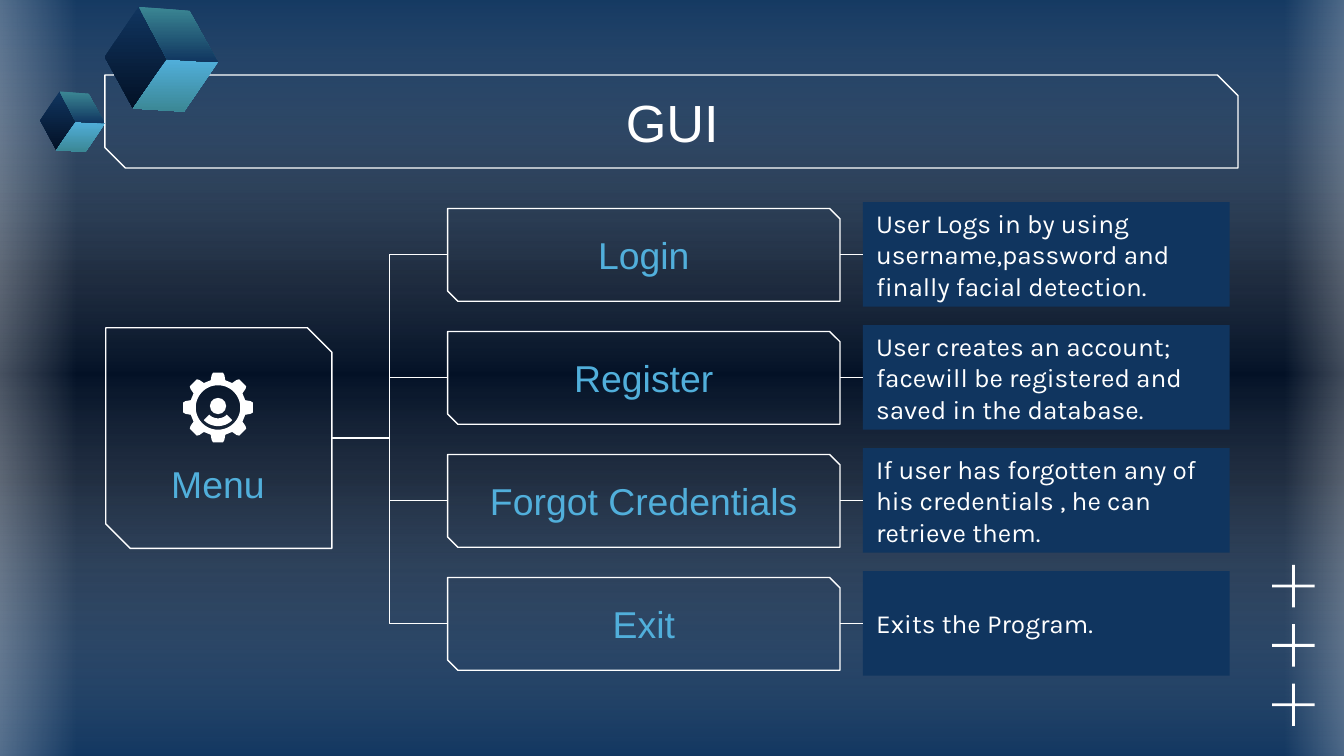
from collections import namedtuple
from math import cos, radians, sin

from lxml.etree import SubElement
from pptx import Presentation
from pptx.dml.color import RGBColor
from pptx.enum.shapes import MSO_CONNECTOR, MSO_SHAPE
from pptx.enum.text import MSO_ANCHOR, PP_ALIGN
from pptx.oxml.ns import qn
from pptx.util import Pt

WHITE = RGBColor(0xFF, 0xFF, 0xFF)
NAVY = RGBColor(0x10, 0x35, 0x5F)
NIGHT = RGBColor(0x03, 0x11, 0x26)
SKY = RGBColor(0x51, 0xAF, 0xDB)
TEAL = RGBColor(0x3B, 0x87, 0x94)

Box = namedtuple("Box", "x y w h")
FRAME = {
    "word_wrap": True, "vertical_anchor": MSO_ANCHOR.MIDDLE,
    "margin_left": Pt(7.2), "margin_right": Pt(7.2),
    "margin_top": Pt(7.2), "margin_bottom": Pt(7.2),
}
HEAD = {"name": "Arial", "size": Pt(28)}
LABEL = {"name": "Arial", "size": Pt(20)}
NOTE = {"name": "Karla", "size": Pt(14)}
ROWS = [
    ("Login", "User Logs in by using username,password and finally facial detection."),
    ("Register", "User creates an account; facewill be registered and saved in the database."),
    ("Forgot Credentials", "If user has forgotten any of his credentials , he can retrieve them."),
    ("Exit", "Exits the Program."),
]


def blend(props, stops, angle):
    """Swap the solid fill in props for a gradient of (percent, colour, alpha) stops."""
    solid = props.find(qn("a:solidFill"))
    grad = props.makeelement(qn("a:gradFill"), {"rotWithShape": "1"})
    row = SubElement(grad, qn("a:gsLst"))
    for place, color, alpha in stops:
        stop = SubElement(row, qn("a:gs"), pos=str(place * 1000))
        tint = SubElement(stop, qn("a:srgbClr"), val=str(color))
        if alpha < 100:
            SubElement(tint, qn("a:alpha"), val=str(alpha * 1000))
    SubElement(grad, qn("a:lin"), ang=str(angle * 60000), scaled="0")
    props.replace(solid, grad)


def paint(shape, color):
    shape.shadow.inherit = False
    shape.fill.solid()
    shape.fill.fore_color.rgb = color
    shape.line.fill.background()
    return shape


def block(slide, kind, box, color=WHITE):
    return paint(slide.shapes.add_shape(kind, *map(Pt, box)), color)


def outline(slide, points, color=WHITE, hole=()):
    """Draw a filled polygon, with an optional hole in it."""
    first, *rest = [(Pt(x), Pt(y)) for x, y in points]
    form = slide.shapes.build_freeform(*first)
    form.add_line_segments(rest)
    if hole:
        first, *rest = [(Pt(x), Pt(y)) for x, y in hole]
        form.move_to(*first)
        form.add_line_segments(rest)
    return paint(form.convert_to_shape(), color)


def write(shape, text, style, color, align=PP_ALIGN.CENTER):
    frame = shape.text_frame
    for key, value in FRAME.items():
        setattr(frame, key, value)
    para = frame.paragraphs[0]
    para.alignment = align
    run = para.add_run()
    run.text = text
    for key, value in style.items():
        setattr(run.font, key, value)
    run.font.color.rgb = color


def caption(slide, box, text, style, color):
    shape = slide.shapes.add_textbox(*map(Pt, box))
    write(shape, text, style, color)
    return shape


def snip(slide, box, cut):
    shape = block(slide, MSO_SHAPE.SNIP_2_DIAG_RECTANGLE, box)
    shape.adjustments[0], shape.adjustments[1] = 0, cut
    shape.fill.background()
    shape.line.color.rgb = WHITE
    shape.line.width = Pt(0.75)


def link(slide, kind, start, end):
    line = slide.shapes.add_connector(kind, *map(Pt, start + end))
    line.line.color.rgb = WHITE
    line.line.width = Pt(0.75)
    SubElement(line._element.spPr, qn("a:effectLst"))
    return line


def backdrop(slide, box):
    slide.background.fill.solid()
    base = [(0, NAVY, 100), (37, NIGHT, 100), (63, NIGHT, 100), (100, NAVY, 100)]
    blend(slide._element.cSld.bg.bgPr, base, 90)
    veil = [(0, NAVY, 59), (50, WHITE, 0), (100, NAVY, 59)]
    glow = [(0, WHITE, 47), (100, WHITE, 0)]
    layers = [
        (Box(box.x + 158.4, box.y - 167.8, 418.3, 735.1), 270, veil),
        (Box(box.x - 29.5, box.y - 6.5, 70.6, 417.6), 180, glow),
        (Box(box.x + box.w - 31.7, box.y - 9.4, 61.2, 417.6), 0, glow),
    ]
    for area, turn, stops in layers:
        shape = block(slide, MSO_SHAPE.RECTANGLE, area)
        shape.rotation = turn
        blend(shape._element.spPr, stops, 180)


def banner(slide, box, text):
    snip(slide, box, 0.221)
    caption(slide, Box(box.x + 0.5, box.y + 2, box.w, box.h - 4), text, HEAD, WHITE)


def ring(mid, radius, angles):
    x, y = mid
    return [(x + radius * cos(radians(a)), y + radius * sin(radians(a))) for a in angles]


def gear(slide, box):
    """Draw a cog with a person in its centre."""
    mid = box.x + box.w / 2, box.y + box.h / 2
    size = box.w / 2
    tooth = [(0.8, -15), (0.94, -11), (1, -8), (1, 8), (0.94, 11), (0.8, 15)]
    rim = [ring(mid, size * far, [turn + lean])[0]
           for turn in range(0, 360, 45) for far, lean in tooth]
    head = size * 0.23
    block(slide, MSO_SHAPE.OVAL,
          Box(mid[0] - head, mid[1] - head - 0.8, head * 2, head * 2))
    outline(slide, rim, hole=ring(mid, size * 0.63, range(360, 0, -6)))
    arc = range(45, 136, 6)
    chest = mid[0], mid[1] - 0.8
    outline(slide, ring(chest, size * 0.57, arc) + ring(chest, size * 0.35, reversed(arc)))


def menu(slide, box):
    snip(slide, box, 0.111)
    caption(slide, Box(box.x + 5, box.y + 64.8, 110.2, 37.4), "Menu", LABEL, SKY)
    gear(slide, Box(box.x + 41.2, box.y + 23.8, 37.8, 37.8))


def option(slide, box, start, label, text):
    """Place one menu entry, its note and the lines that join them."""
    snip(slide, Box(box.x, box.y + 3.4, 210.2, 49.7), 0.111)
    note = block(slide, MSO_SHAPE.RECTANGLE,
                 Box(box.x + 222.5, box.y, box.w - 222.5, box.h), NAVY)
    write(note, text, NOTE, WHITE, PP_ALIGN.LEFT)
    mid = box.y + box.h / 2
    link(slide, MSO_CONNECTOR.ELBOW, start, (box.x, mid))
    name = caption(slide, Box(box.x, mid - 22, 210.2, 44), label, LABEL, SKY)
    line = link(slide, MSO_CONNECTOR.STRAIGHT, (box.x + 210.2, mid), (box.x + 222.5, mid))
    line.begin_connect(name, 3)
    line.end_connect(note, 1)


def crosses(slide, box):
    """Stack three plus signs, each as wide as the box."""
    thick = 1.6
    half = (box.w - thick) / 2
    for step in range(3):
        top = box.y + step * (box.h - box.w) / 2
        block(slide, MSO_SHAPE.RECTANGLE, Box(box.x, top + half, box.w, thick))
        block(slide, MSO_SHAPE.RECTANGLE, Box(box.x + half, top, thick, box.w))


def cube(slide, box):
    top, left, low, mid = (0.3, 0), (0, 0.48), (0.25, 0.97), (0.55, 0.5)
    right, foot, peak = (1, 0.53), (0.7, 1), (0.75, 0.04)
    faces = [
        ((top, left, low, mid), NAVY, NIGHT),
        ((mid, right, foot, low), SKY, TEAL),
        ((top, peak, right, mid), TEAL, NAVY),
    ]
    for points, start, end in faces:
        spots = [(box.x + x * box.w, box.y + y * box.h) for x, y in points]
        face = outline(slide, spots)
        blend(face._element.spPr, [(0, start, 100), (100, end, 100)], 90)


def main():
    deck = Presentation()
    deck.slide_width, deck.slide_height = Pt(720), Pt(405)
    slide = deck.slides.add_slide(deck.slide_layouts[6])
    backdrop(slide, Box(0, 0, 720, 405))
    banner(slide, Box(56.2, 40.2, 607, 49.8), "GUI")
    root = Box(56.7, 175.6, 121.1, 118.2)
    menu(slide, root)
    start = root.x + root.w, root.y + root.h / 2
    for row, (label, text) in enumerate(ROWS):
        option(slide, Box(239.8, 108.3 + row * 65.9, 419, 56), start, label, text)
    crosses(slide, Box(681.6, 302.6, 22.8, 86.4))
    cube(slide, Box(56.2, 3.6, 60.5, 56.2))
    cube(slide, Box(21.6, 49, 34.6, 32.4))
    deck.save("out.pptx")


if __name__ == "__main__":
    main()
